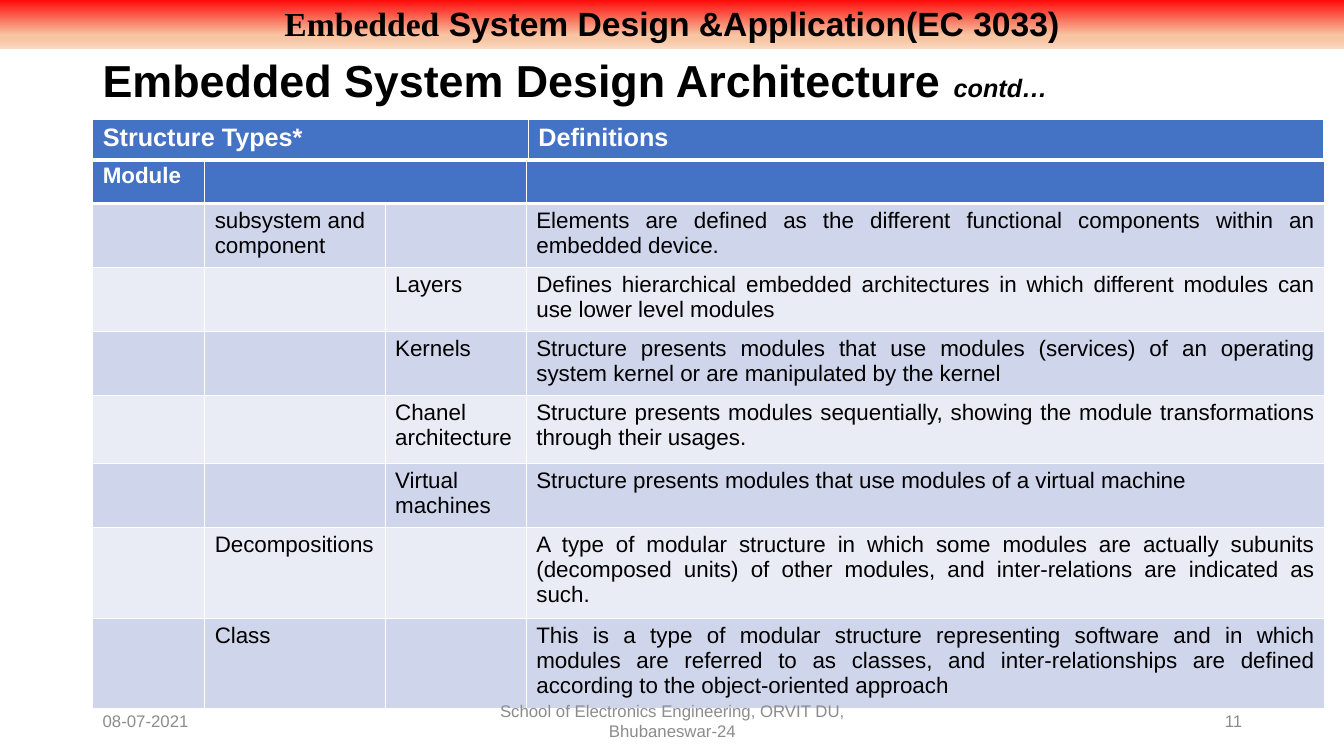
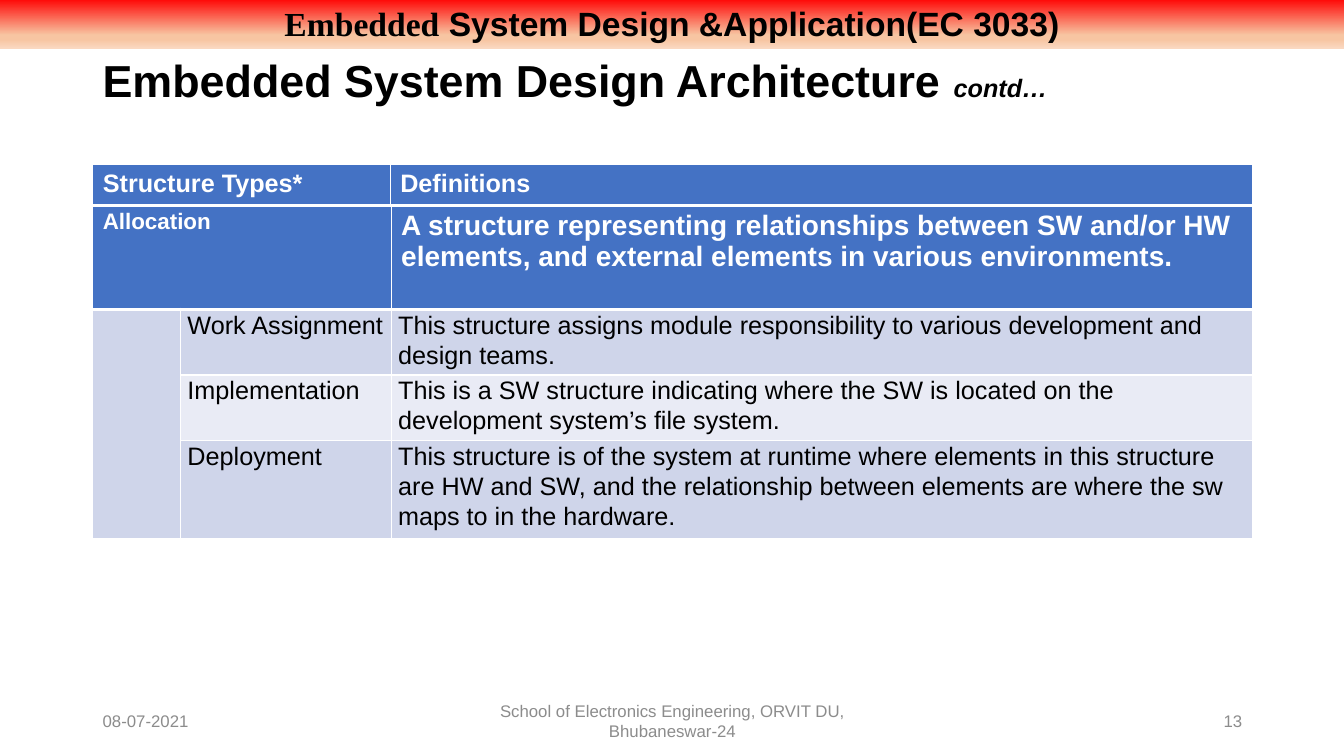
from lxml import etree
from pptx import Presentation
from pptx.dml.color import RGBColor
from pptx.enum import shapes, text
from pptx.oxml.ns import qn
from pptx.util import Inches, Pt

BLACK = RGBColor(0x00, 0x00, 0x00)
WHITE = RGBColor(0xFF, 0xFF, 0xFF)
GRAY = RGBColor(0x8C, 0x8C, 0x8C)
BLUE = RGBColor(0x44, 0x72, 0xC4)
BANDS = [RGBColor(0xE9, 0xEB, 0xF5), RGBColor(0xCF, 0xD5, 0xEA)]
RED = RGBColor(0xFF, 0x00, 0x00)
PEACH = RGBColor(0xF7, 0xC5, 0xA2)
CREAM = RGBColor(0xFA, 0xD8, 0xC1)
TOP_GRADIENT = [(0, RED), (74, PEACH), (83, PEACH), (100, CREAM)]

LEFT, CENTER, RIGHT = text.PP_ALIGN.LEFT, text.PP_ALIGN.CENTER, text.PP_ALIGN.RIGHT
JUSTIFY = text.PP_ALIGN.JUSTIFY
MARGIN = 0.92
HEADINGS = ["Structure Types*", "Definitions"]
FOOTER = "School of Electronics Engineering, ORVIT DU, Bhubaneswar-24"

# Content of each slide; the first body row is a heading row
module_slide = {
    "number": "11",
    "header_top": 1.18,
    "header_columns": [4.32, 7.89],
    "body_top": 1.57,
    "columns": [1.11, 1.79, 1.4, 7.92],
    "heights": [0.45, 0.59, 0.59, 0.59, 0.68, 0.59, 0.84, 0.84],
    "merges": [(0, 1, 0, 2)],
    "align": JUSTIFY,
    "heading_size": 16,
    "size": 16,
    "spacing": None,
    "insets": None,
    "rows": [
        ["Module", "", "", ""],
        ["", "subsystem and component", "",
         "Elements are defined as the different functional components within an embedded device."],
        ["", "", "Layers",
         "Defines hierarchical embedded architectures in which different modules can use "
         "lower level modules"],
        ["", "", "Kernels",
         "Structure presents modules that use modules (services) of an operating system "
         "kernel or are manipulated by the kernel"],
        ["", "", "Chanel architecture",
         "Structure presents modules sequentially, showing the module transformations "
         "through their usages."],
        ["", "", "Virtual machines",
         "Structure presents modules that use modules of a virtual machine"],
        ["", "Decompositions", "",
         "A type of modular structure in which some modules are actually subunits "
         "(decomposed units) of other modules, and inter-relations are indicated as such."],
        ["", "Class", "",
         "This is a type of modular structure representing software and in which modules "
         "are referred to as classes, and inter-relationships are defined according to the "
         "object-oriented approach"],
    ],
}
allocation_slide = {
    "number": "13",
    "header_top": 1.63,
    "header_columns": [2.95, 8.55],
    "body_top": 2.03,
    "columns": [0.87, 2.09, 8.54],
    "heights": [1.04, 0.65, 0.65, 0.97],
    "merges": [(0, 0, 0, 1), (1, 0, 3, 0)],
    "align": LEFT,
    "heading_size": 20,
    "size": 18,
    "spacing": 1.07,
    "insets": (0.07, 0),
    "rows": [
        ["Allocation", "",
         "A structure representing relationships between SW and/or HW elements, and "
         "external elements in various environments."],
        ["", "Work Assignment",
         "This structure assigns module responsibility to various development and design teams."],
        ["", "Implementation",
         "This is a SW structure indicating where the SW is located on the development "
         "system’s file system."],
        ["", "Deployment",
         "This structure is of the system at runtime where elements in this structure are "
         "HW and SW, and the relationship between elements are where the sw maps to in the "
         "hardware."],
    ],
}


def write(shape, runs, align, color):
    """Fill a shape with one paragraph of (text, size, font, bold, italic) runs."""
    frame = shape.text_frame
    frame.word_wrap = True
    frame.vertical_anchor = text.MSO_ANCHOR.MIDDLE
    paragraph = frame.paragraphs[0]
    paragraph.alignment = align
    for words, size, font, bold, italic in runs:
        run = paragraph.add_run()
        run.text = words
        run.font.size, run.font.name = Pt(size), font
        run.font.bold, run.font.italic = bold, italic
        run.font.color.rgb = color
    return paragraph


def add_grid(slide, top, columns, heights):
    """Add a table with white cell borders, thicker below the first row."""
    frame = slide.shapes.add_table(
        len(heights), len(columns), Inches(MARGIN), Inches(top),
        Inches(sum(columns)), Inches(sum(heights)))
    table = frame.table
    for column, width in zip(table.columns, columns):
        column.width = Inches(width)
    for index, (row, height) in enumerate(zip(table.rows, heights)):
        row.height = Inches(height)
        for cell in row.cells:
            properties = cell._tc.get_or_add_tcPr()
            for side in ("lnL", "lnR", "lnT", "lnB"):
                thick = (side == "lnB" and index == 0) or (side == "lnT" and index == 1)
                line = etree.SubElement(properties, qn(f"a:{side}"), w=str(Pt(3 if thick else 1)))
                fill = etree.SubElement(line, qn("a:solidFill"))
                etree.SubElement(fill, qn("a:srgbClr"), val=str(WHITE))
            cell.fill.solid()
            cell.fill.fore_color.rgb = BANDS[index % 2] if index else BLUE
    return table


presentation = Presentation()
presentation.slide_width = Inches(13.33)
presentation.slide_height = Inches(7.5)

for content in (module_slide, allocation_slide):
    slide = presentation.slides.add_slide(presentation.slide_layouts[6])

    # Course band
    band = slide.shapes.add_shape(
        shapes.MSO_SHAPE.RECTANGLE, 0, Inches(-0.02), Inches(13.33), Inches(0.5))
    band.shadow.inherit = False
    band.line.fill.background()
    band.fill.gradient()
    band.fill.gradient_angle = 270
    stops = band.element.spPr.find(".//" + qn("a:gsLst"))
    for stop in list(stops):
        stops.remove(stop)
    for position, color in TOP_GRADIENT:
        stop = etree.SubElement(stops, qn("a:gs"), pos=str(position * 1000))
        etree.SubElement(stop, qn("a:srgbClr"), val=str(color))
    write(band, [("Embedded", 24, "Times New Roman", True, False),
                 (" System Design &Application(EC 3033)", 24, "Arial", True, False)],
          CENTER, BLACK)

    # Title
    title = slide.shapes.add_textbox(Inches(MARGIN), Inches(0.47), Inches(11.5), Inches(0.7))
    paragraph = write(title, [("Embedded System Design Architecture ", 32, "Arial", True, False),
                              ("contd…", 18, "Arial", True, True)], LEFT, BLACK)
    paragraph.line_spacing = 0.9

    # Body table
    table = add_grid(slide, content["body_top"], content["columns"], content["heights"])
    for first_row, first_column, last_row, last_column in content["merges"]:
        table.cell(first_row, first_column).merge(table.cell(last_row, last_column))
    last = len(content["columns"]) - 1
    for row, entries in enumerate(content["rows"]):
        for column, words in enumerate(entries):
            if not words:
                continue
            cell = table.cell(row, column)
            cell.text_frame.text = words
            paragraph = cell.text_frame.paragraphs[0]
            font = paragraph.runs[0].font
            font.name = "Arial"
            font.bold = row == 0
            font.color.rgb = BLACK if row else WHITE
            if row == 0:
                font.size = Pt(content["heading_size"] if column == last else 16)
                continue
            font.size = Pt(content["size"])
            paragraph.alignment = content["align"] if column == last else LEFT
            if content["spacing"]:
                paragraph.line_spacing = content["spacing"]
            if content["insets"]:
                side, end = content["insets"]
                cell.margin_left = cell.margin_right = Inches(side)
                cell.margin_top = cell.margin_bottom = Inches(end)

    # Header table
    header = add_grid(slide, content["header_top"], content["header_columns"], [0.41])
    for column, words in enumerate(HEADINGS):
        frame = header.cell(0, column).text_frame
        frame.text = words
        font = frame.paragraphs[0].runs[0].font
        font.name, font.size, font.bold = "Arial", Pt(18), True
        font.color.rgb = WHITE

    # Footer
    for left, width, words, align in ((MARGIN, 3, "08-07-2021", LEFT),
                                      (4.42, 4.5, FOOTER, CENTER),
                                      (9.42, 3, content["number"], RIGHT)):
        box = slide.shapes.add_textbox(Inches(left), Inches(6.95), Inches(width), Inches(0.4))
        write(box, [(words, 12, "Arial", False, False)], align, GRAY)

presentation.save("out.pptx")
